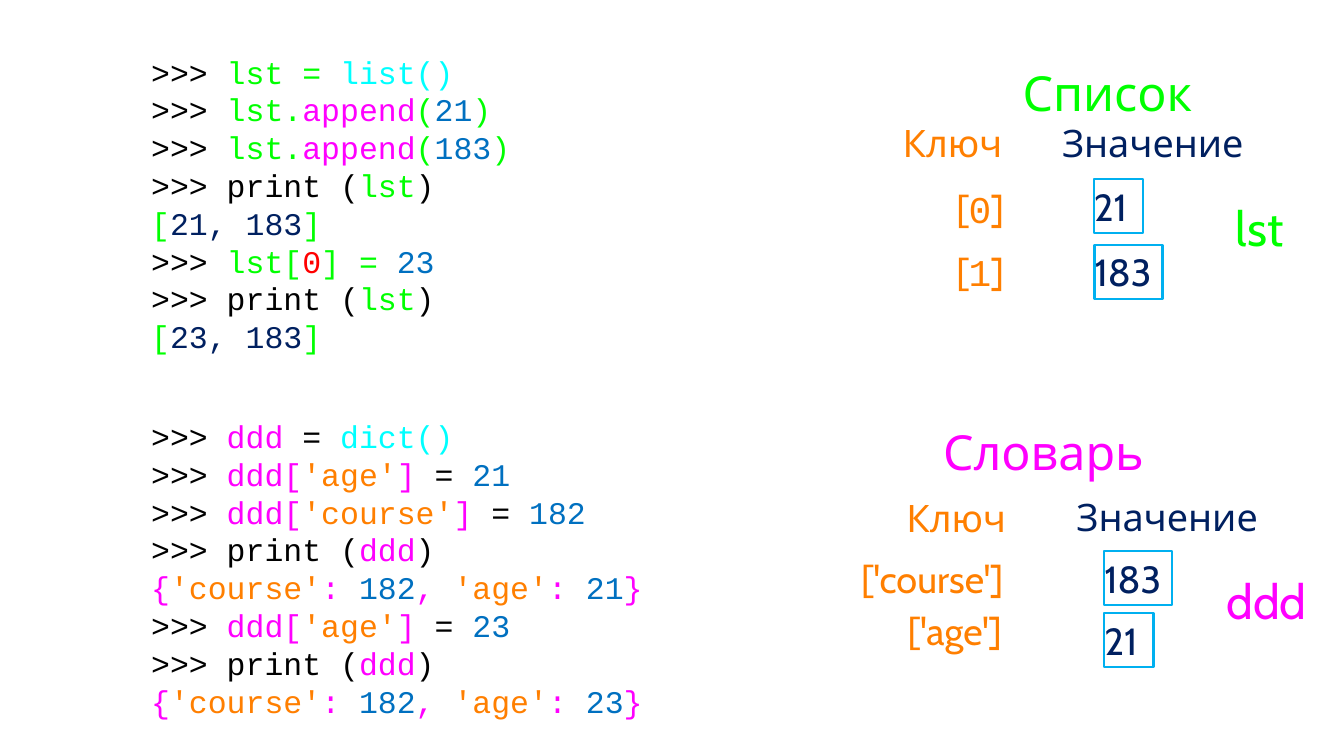
from pptx import Presentation
from pptx import util as u
from pptx.dml.color import RGBColor
from pptx.enum import shapes, text

BLACK, GREEN, MAGENTA, CYAN = "000000", "00FF00", "FF00FF", "00FFFF"
ORANGE, NAVY, BLUE, RED, SKY = "FF7F00", "002060", "0070C0", "FF0000", "00B0F0"
SANS, MONO = "Cabin", "Courier New"
LEFT, CENTER, RIGHT = text.PP_ALIGN.LEFT, text.PP_ALIGN.CENTER, text.PP_ALIGN.RIGHT
PROMPT = (">>> ", BLACK)


def colour(value):
    """Turn a hex string into a colour."""
    return RGBColor.from_string(value)


def write(shape, lines, size=36, font=SANS, align=LEFT, spacing=None):
    """Fill a shape with lines of (words, colour[, font]) runs."""
    frame = shape.text_frame
    frame.word_wrap = True
    frame.vertical_anchor = text.MSO_ANCHOR.MIDDLE
    frame.margin_left = frame.margin_right = frame.margin_top = frame.margin_bottom = 0
    for number, line in enumerate(lines):
        paragraph = frame.paragraphs[0] if number == 0 else frame.add_paragraph()
        paragraph.alignment = align
        if spacing:
            paragraph.line_spacing = u.Pt(spacing)
        for words, shade, *face in line:
            run = paragraph.add_run()
            run.text = words
            run.font.size = u.Pt(size)
            run.font.name = face[0] if face else font
            run.font.color.rgb = colour(shade)


def label(slide, box, lines, **style):
    """Add a text box at left, top, width, height."""
    write(slide.shapes.add_textbox(*map(u.Inches, box)), lines, **style)


def value_box(slide, left, top, value):
    """Add an outlined box as wide as its value needs."""
    width = 0.9 if len(value) > 2 else 0.65
    cell = slide.shapes.add_shape(
        shapes.MSO_SHAPE.RECTANGLE, *map(u.Inches, (left, top, width, 0.71)))
    cell.shadow.inherit = False
    cell.fill.background()
    cell.line.color.rgb = colour(SKY)
    cell.line.width = u.Pt(2)
    write(cell, [[(value, NAVY)]])


def code_block(slide, box, lines):
    """Add a console session."""
    label(slide, box, lines, size=30, font=MONO, spacing=36)


def collection(slide, origin, shade, title, name, headings, entries):
    """Draw a titled key and value diagram relative to its origin."""
    left, top = origin

    def place(x, y, width, height):
        return left + x, top + y, width, height

    for words, box in (title, name):
        label(slide, place(*box, 0.85), [[(words, shade)]], size=46, align=CENTER)
    for (words, tint), box in zip((("Ключ", ORANGE), ("Значение", NAVY)), headings):
        label(slide, place(*box, 0.68), [[(words, tint)]], align=CENTER)
    for key, key_box, value, (x, y) in entries:
        label(slide, place(*key_box, 0.68), [key], align=RIGHT)
        value_box(slide, left + x, top + y, value)


def index_key(index):
    """Build the runs of a list index."""
    return [("[", ORANGE), (index, ORANGE, MONO), ("]", ORANGE)]


def list_session():
    """Build the lines of the list example."""
    def append(value):
        return [PROMPT, ("lst.", GREEN), ("append", MAGENTA), ("(", GREEN),
                (value, BLUE), (")", GREEN)]

    def show(values):
        return [[(">>> print (", BLACK), ("lst", GREEN), (")", BLACK)],
                [("[", GREEN), (values, NAVY), ("]", GREEN)]]

    return [[PROMPT, ("lst = ", GREEN), ("list()", CYAN)],
            append("21"), append("183"), *show("21, 183"),
            [PROMPT, ("lst[", GREEN), ("0", RED), ("] = ", GREEN), ("23", BLUE)],
            *show("23, 183")]


def dict_session():
    """Build the lines of the dictionary example."""
    def assign(key, value):
        return [PROMPT, ("ddd[", MAGENTA), (key, ORANGE), ("] ", MAGENTA),
                ("= ", BLACK), (value, BLUE)]

    def show(age):
        return [[(">>> print (", BLACK), ("ddd", MAGENTA), (")", BLACK)],
                [("{", MAGENTA), ("'course'", ORANGE), (": ", MAGENTA), ("182", BLUE),
                 (", ", MAGENTA), ("'age'", ORANGE), (": ", MAGENTA), (age, BLUE),
                 ("}", MAGENTA)]]

    return [[PROMPT, ("ddd ", MAGENTA), ("= ", BLACK), ("dict()", CYAN)],
            assign("'age'", "21"), assign("'course'", "182"), *show("21"),
            assign("'age'", "23"), *show("23")]


def main():
    """Build and save the slide."""
    deck = Presentation()
    deck.slide_width, deck.slide_height = u.Inches(17.78), u.Inches(10)
    slide = deck.slides.add_slide(deck.slide_layouts[6])

    code_block(slide, (2, 0.79, 5.53, 3.81), list_session())
    code_block(slide, (2, 5.09, 7.1, 4.85), dict_session())
    collection(
        slide, (11.84, 0.79), GREEN,
        title=("Список", (1.34, 0, 2.94)),
        name=("lst", (4.47, 1.79, 0.71)),
        headings=((0, 0.75, 1.52), (2.2, 0.75, 2.42)),
        entries=((index_key("0"), (0.73, 1.63, 0.71), "21", (2.63, 1.58)),
                 (index_key("1"), (0.73, 2.46, 0.71), "183", (2.64, 2.45))))
    collection(
        slide, (11.25, 5.54), MAGENTA,
        title=("Словарь", (1.12, 0, 2.87)),
        name=("ddd", (4.96, 1.97, 1.09)),
        headings=((0.64, 0.96, 1.52), (2.87, 0.95, 2.64)),
        entries=(([("['course']", ORANGE)], (0, 1.77, 2.02), "183", (3.36, 1.75)),
                 ([("['age']", ORANGE)], (0.69, 2.46, 1.31), "21", (3.36, 2.57))))
    deck.save("out.pptx")


if __name__ == "__main__":
    main()
